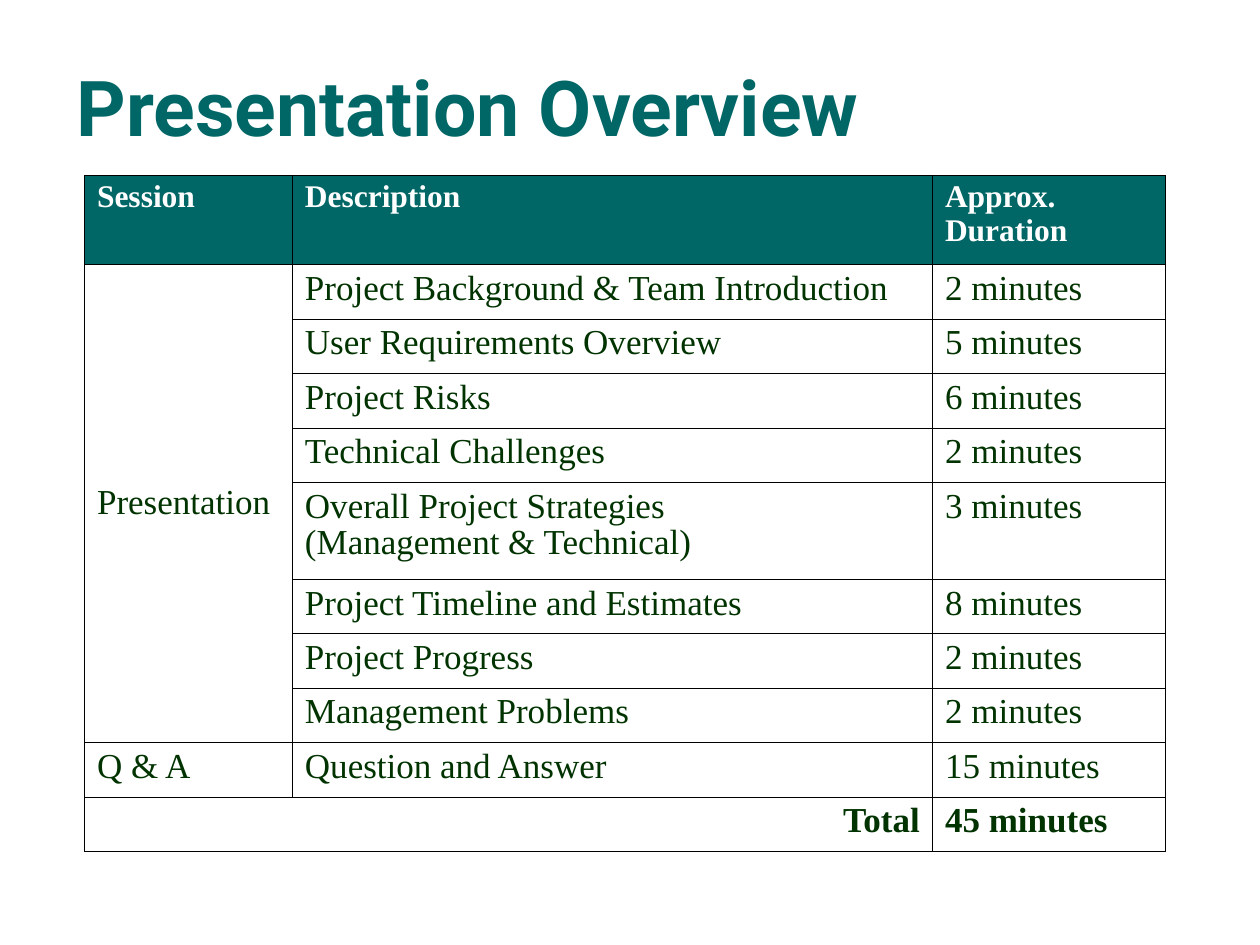
from lxml import etree
from pptx import Presentation
from pptx.dml.color import RGBColor
from pptx.enum.text import MSO_ANCHOR, PP_ALIGN
from pptx.oxml.ns import qn
from pptx.util import Inches, Pt

MIDDLE, TOP = MSO_ANCHOR.MIDDLE, MSO_ANCHOR.TOP
LEFT, RIGHT = PP_ALIGN.LEFT, PP_ALIGN.RIGHT
TEAL, GREEN, WHITE, BLACK = "006666", "003300", "FFFFFF", "000000"
SERIF = "Times New Roman"

ROWS = [
    ("Session", "Description", "Approx.\nDuration"),
    ("Presentation", "Project Background & Team Introduction", "2 minutes"),
    ("", "User Requirements Overview", "5 minutes"),
    ("", "Project Risks", "6 minutes"),
    ("", "Technical Challenges", "2 minutes"),
    ("", "Overall Project Strategies\n(Management & Technical)", "3 minutes"),
    ("", "Project Timeline and Estimates", "8 minutes"),
    ("", "Project Progress", "2 minutes"),
    ("", "Management Problems", "2 minutes"),
    ("Q & A", "Question and Answer", "15 minutes"),
    ("Total", "", "45 minutes"),
]
COLS = [1.65, 5.08, 1.85]
TALL = {0: 0.71, 5: 0.77}


def color(code):
    return RGBColor.from_string(code)


def write(frame, text, face, size, shade, bold, align=LEFT, space=1.0):
    frame.text = text
    for para in frame.paragraphs:
        para.alignment = align
        para.line_spacing = space
        font = para.font
        font.name, font.size, font.bold = face, Pt(size), bold
        font.color.rgb = color(shade)


def border(cell):
    props = cell._tc.get_or_add_tcPr()
    for spot, side in enumerate(("a:lnL", "a:lnR", "a:lnT", "a:lnB")):
        line = etree.Element(qn(side), w=str(Pt(0.45)))
        fill = etree.SubElement(line, qn("a:solidFill"))
        etree.SubElement(fill, qn("a:srgbClr"), val=BLACK)
        props.insert(spot, line)


def add_title(slide, left, top, width, height):
    box = slide.shapes.add_textbox(
        Inches(left), Inches(top), Inches(width), Inches(height))
    frame = box.text_frame
    frame.word_wrap = True
    frame.vertical_anchor = MIDDLE
    write(frame, "Presentation Overview", "Roboto", 44, TEAL, True)


def add_agenda(slide, left, top, width, height):
    table = slide.shapes.add_table(
        len(ROWS), len(COLS), Inches(left), Inches(top),
        Inches(width), Inches(height)).table
    for col, wide in zip(table.columns, COLS):
        col.width = Inches(wide)
    short = (height - sum(TALL.values())) / (len(ROWS) - len(TALL))
    last = len(ROWS) - 1
    for r, row in enumerate(ROWS):
        table.rows[r].height = Inches(TALL.get(r, short))
        head = r == 0
        for c, text in enumerate(row):
            cell = table.cell(r, c)
            cell.fill.solid()
            cell.fill.fore_color.rgb = color(TEAL if head else WHITE)
            cell.vertical_anchor = MIDDLE if text == "Presentation" else TOP
            write(cell.text_frame, text, SERIF, 18 if head else 20,
                  WHITE if head else GREEN, r in (0, last),
                  RIGHT if text == "Total" else LEFT, 0.95)
            border(cell)
    table.cell(1, 0).merge(table.cell(8, 0))
    table.cell(last, 0).merge(table.cell(last, 1))


def main():
    deck = Presentation()
    deck.slide_width, deck.slide_height = Inches(10), Inches(7.5)
    slide = deck.slides.add_slide(deck.slide_layouts[6])
    add_title(slide, 0.51, 0.36, 8.58, 0.96)
    add_agenda(slide, 0.67, 1.39, 8.58, 5.37)
    deck.save("out.pptx")


if __name__ == "__main__":
    main()
